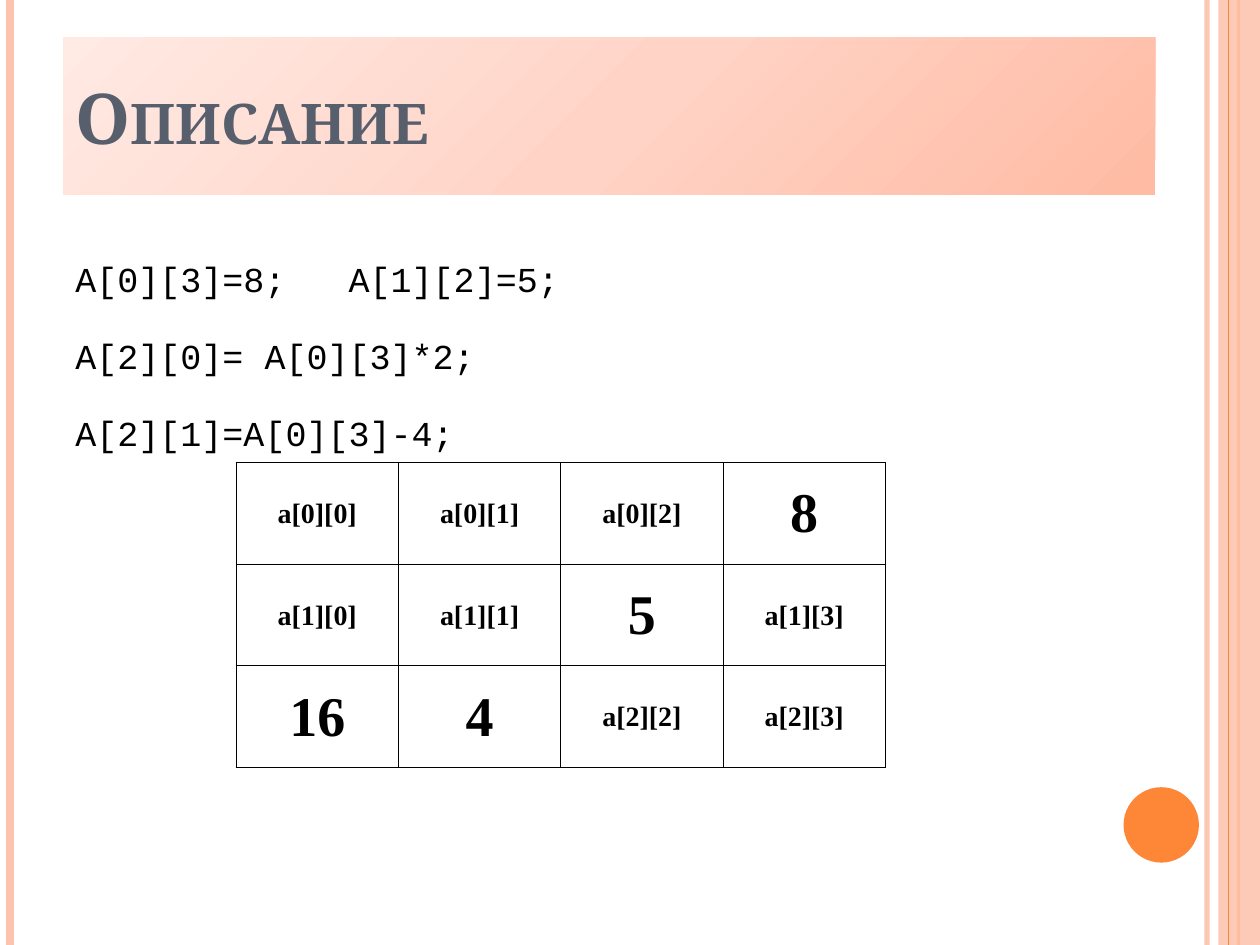
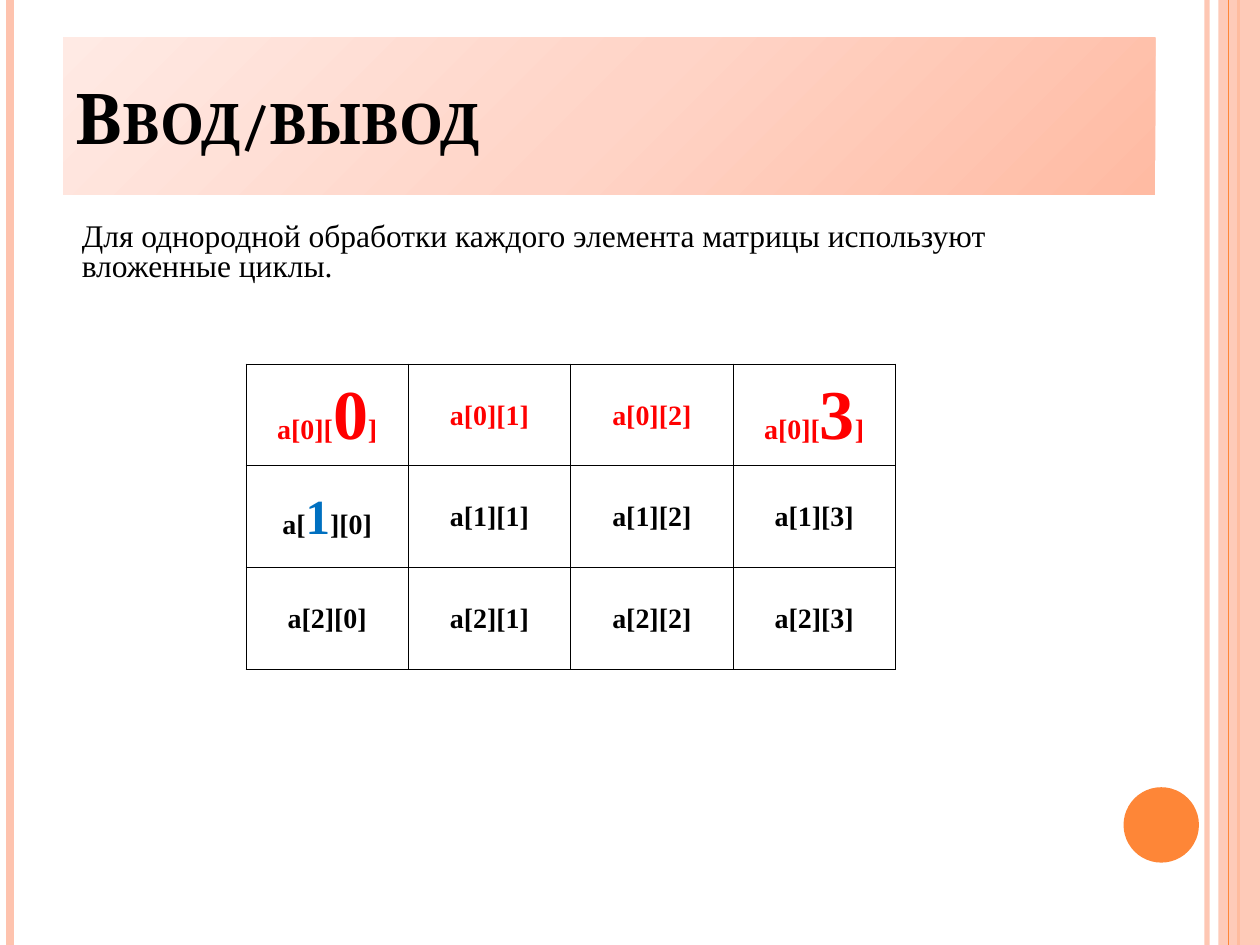
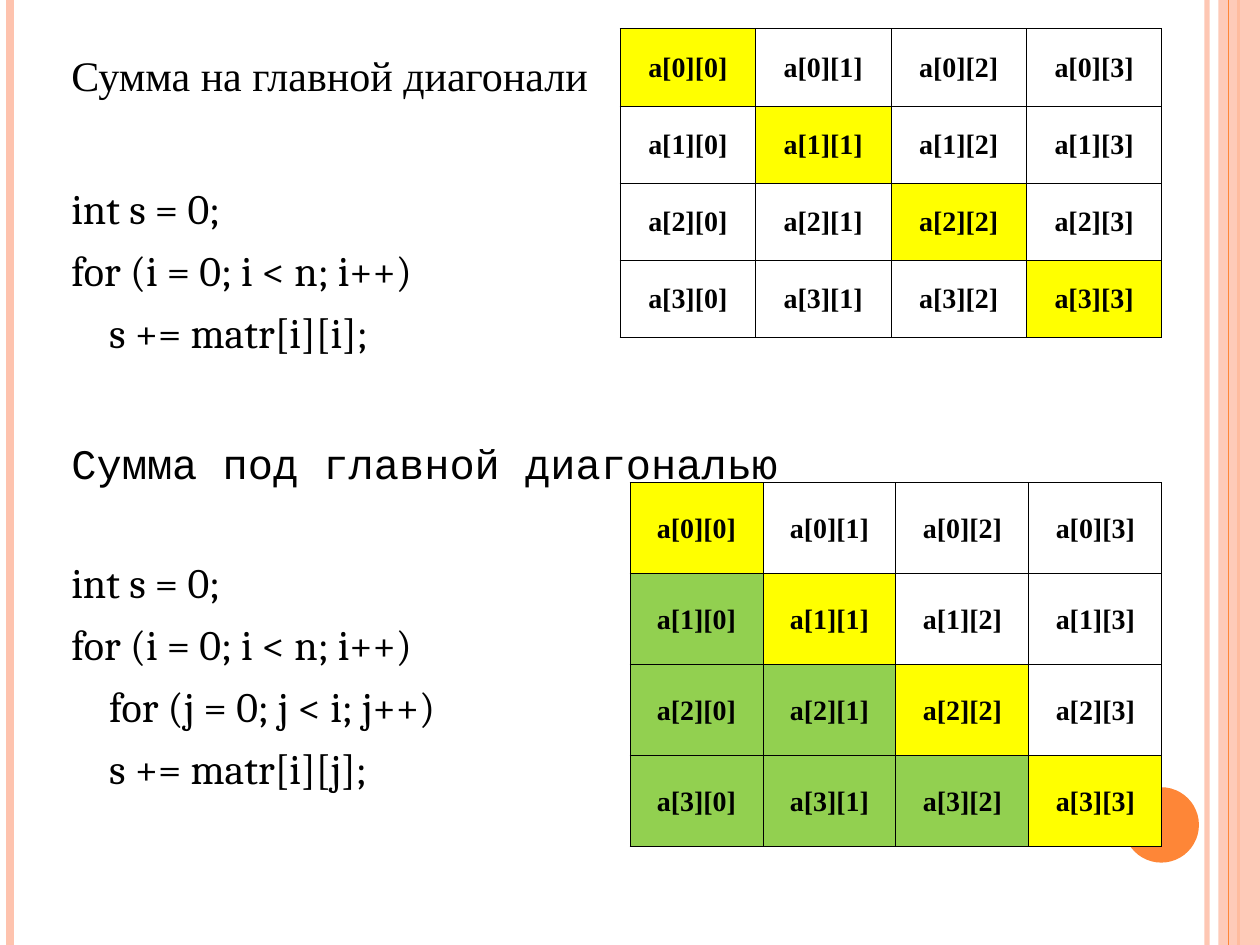
from dataclasses import dataclass, field

from lxml.etree import SubElement
from pptx import Presentation
from pptx.dml.color import RGBColor
from pptx.enum.shapes import MSO_CONNECTOR, MSO_SHAPE
from pptx.enum.text import MSO_ANCHOR, MSO_AUTO_SIZE, PP_ALIGN
from pptx.oxml.ns import qn
from pptx.slide import Slide
from pptx.util import Cm, Pt

# Shared look
HEX = {
    "black": "000000", "slate": "575F6D", "red": "FF0000", "blue": "0070C0",
    "peach": "FEC3AE", "orange": "FE8637", "yellow": "FFFF00", "green": "92D050",
}
SHADES = {0: "FFBBA3", 50: "FFD4C7", 100: "FFEAE4"}
SERIF, MONO, CODE = "Times New Roman", "Courier New", "Cambria"
WIDE, HIGH = 25.4, 19.05


@dataclass
class Rail:
    x: float
    width: float
    tint: str = "peach"
    alpha: int = 100


@dataclass
class Bit:
    text: str
    size: float = 16
    tint: str = "black"


@dataclass
class Row:
    text: str
    font: str
    size: float
    before: float = 0
    indent: float = 0
    pitch: float = 1.0


@dataclass
class Grid:
    left: float
    top: float
    width: float
    height: float
    rows: int
    cols: int = 4
    labels: dict[tuple[int, int], list[Bit]] = field(default_factory=dict)
    fills: dict[tuple[int, int], str] = field(default_factory=dict)


BACK = [Rail(24.33, 3, alpha=93), Rail(0.21, 4.5), Rail(24.97, 1.5, "orange")]
FRONT = Rail(24.76, 0.75, "orange")


def color(name: str) -> RGBColor:
    return RGBColor.from_string(HEX[name])


def style(font, name: str, size: float, tint: str, bold: bool = False) -> None:
    font.name, font.size, font.bold = name, Pt(size), bold
    font.color.rgb = color(tint)


def fade(shape, alpha: int) -> None:
    for node in shape._element.spPr.iter(qn("a:srgbClr")):
        SubElement(node, qn("a:alpha"), val=str(alpha * 1000))


# Side rails, band and disc
def draw_rail(slide: Slide, rail: Rail) -> None:
    line = slide.shapes.add_connector(
        MSO_CONNECTOR.STRAIGHT, Cm(rail.x), Cm(0), Cm(rail.x), Cm(HIGH))
    line.line.color.rgb = color(rail.tint)
    line.line.width = Pt(rail.width)
    if rail.alpha < 100:
        fade(line, rail.alpha)
    SubElement(line._element.spPr, qn("a:effectLst"))


def draw_shape(slide: Slide, kind: MSO_SHAPE, box: tuple, tint: str):
    shape = slide.shapes.add_shape(kind, *map(Cm, box))
    shape.shadow.inherit = False
    shape.fill.solid()
    shape.fill.fore_color.rgb = color(tint)
    shape.line.fill.background()
    return shape


def draw_frame(slide: Slide) -> None:
    for rail in BACK:
        draw_rail(slide, rail)
    band = draw_shape(slide, MSO_SHAPE.RECTANGLE, (24.56, 0, 0.84, HIGH), "peach")
    fade(band, 87)
    draw_rail(slide, FRONT)
    draw_shape(slide, MSO_SHAPE.OVAL, (22.65, 15.87, 1.52, 1.52), "orange")


# Title with its shaded field
def set_title(slide: Slide, text: str, tint: str) -> None:
    title = slide.shapes.title
    title.left, title.top, title.width, title.height = map(Cm, (1.27, 0.76, 22.02, 3.17))
    shade = SubElement(title._element.spPr, qn("a:gradFill"), rotWithShape="1")
    stops = SubElement(shade, qn("a:gsLst"))
    for place, tone in SHADES.items():
        stop = SubElement(stops, qn("a:gs"), pos=str(place * 1000))
        SubElement(stop, qn("a:srgbClr"), val=tone)
    SubElement(shade, qn("a:lin"), ang=str(225 * 60000), scaled="0")
    frame = title.text_frame
    frame.text = text
    frame.auto_size = MSO_AUTO_SIZE.NONE
    frame.vertical_anchor = MSO_ANCHOR.MIDDLE
    para = frame.paragraphs[0]
    para.alignment = PP_ALIGN.LEFT
    run = para.runs[0]
    style(run.font, CODE, 40, tint, True)
    run._r.get_or_add_rPr().set("cap", "small")


# Running text
def add_text(slide: Slide, box: tuple, rows: list[Row]) -> None:
    frame = slide.shapes.add_textbox(*map(Cm, box)).text_frame
    frame.word_wrap = True
    frame.text = "\n".join(row.text for row in rows)
    for para, row in zip(frame.paragraphs, rows):
        para.space_before = Pt(row.before)
        para.line_spacing = row.pitch
        para._p.get_or_add_pPr().set("marL", str(Cm(row.indent)))
        style(para.runs[0].font, row.font, row.size, "black")


# Matrix tables
def add_edges(cell) -> None:
    props = cell._tc.get_or_add_tcPr()
    for side in ("lnL", "lnR", "lnT", "lnB"):
        edge = SubElement(props, qn(f"a:{side}"), w=str(Pt(0.5)))
        fill = SubElement(edge, qn("a:solidFill"))
        SubElement(fill, qn("a:srgbClr"), val=HEX["black"])


def add_grid(slide: Slide, grid: Grid) -> None:
    box = map(Cm, (grid.left, grid.top, grid.width, grid.height))
    table = slide.shapes.add_table(grid.rows, grid.cols, *box).table
    table.first_row = table.horz_banding = False
    for r in range(grid.rows):
        for c in range(grid.cols):
            cell = table.cell(r, c)
            add_edges(cell)
            if (r, c) in grid.fills:
                cell.fill.solid()
                cell.fill.fore_color.rgb = color(grid.fills[r, c])
            else:
                cell.fill.background()
            cell.margin_left = cell.margin_right = cell.margin_top = Cm(0.03)
            cell.margin_bottom = 0
            cell.vertical_anchor = MSO_ANCHOR.MIDDLE
            para = cell.text_frame.paragraphs[0]
            para.alignment = PP_ALIGN.CENTER
            for bit in grid.labels.get((r, c), [Bit(f"a[{r}][{c}]")]):
                run = para.add_run()
                run.text = bit.text
                style(run.font, SERIF, bit.size, bit.tint, True)


# Slides
def add_slide(deck, title: str = "", tint: str = "black") -> Slide:
    slide = deck.slides.add_slide(deck.slide_layouts[5 if title else 6])
    draw_frame(slide)
    if title:
        set_title(slide, title, tint)
    return slide


def show_values(deck) -> None:
    slide = add_slide(deck, "Описание", "slate")
    lines = ["A[0][3]=8;   A[1][2]=5;", "A[2][0]= A[0][3]*2;", "A[2][1]=A[0][3]-4;"]
    add_text(slide, (1.27, 4.65, 22.15, 4.6),
             [Row(line, MONO, 20, 8 if i else 0, pitch=1.5) for i, line in enumerate(lines)])
    values = {(0, 3): "8", (1, 2): "5", (2, 0): "16", (2, 1): "4"}
    labels = {spot: [Bit(value, 32)] for spot, value in values.items()}
    add_grid(slide, Grid(4.76, 9.32, 13.09, 6.15, 3, labels=labels))


def show_loops(deck) -> None:
    slide = add_slide(deck, "Ввод/вывод")
    labels = {(0, c): [Bit(f"a[0][{c}]", tint="red")] for c in (1, 2)}
    for c in (0, 3):
        labels[0, c] = [Bit("a[0][", tint="red"), Bit(str(c), 40, "red"),
                        Bit("]", tint="red")]
    labels[1, 0] = [Bit("a["), Bit("1", 28, "blue"), Bit("][0]")]
    add_grid(slide, Grid(4.96, 7.34, 13.09, 6.15, 3, labels=labels))
    note = "Для однородной обработки каждого элемента матрицы используют вложенные циклы."
    add_text(slide, (1.4, 4.37, 21.82, 1.5), [Row(note, SERIF, 18, pitch=0.8)])


def show_sums(deck) -> None:
    slide = add_slide(deck)
    gap, step = 6.7, 0.76
    loop = Row("for (i = 0; i < n; i++)", CODE, 24, gap)
    add_text(slide, (1.19, 0.88, 22.15, 15.2), [
        Row("Сумма на главной диагонали", SERIF, 24),
        Row("int s = 0;", CODE, 24, 47),
        loop,
        Row("s += matr[i][i];", CODE, 24, gap, step),
        Row("Сумма под главной диагональю", MONO, 24, 46),
        Row("int s = 0;", CODE, 24, 39),
        loop,
        Row("for (j = 0; j < i; j++)", CODE, 24, gap, step),
        Row("s += matr[i][j];", CODE, 24, gap, step),
    ])
    main_fills = {(i, i): "yellow" for i in range(4)}
    low_fills = {(r, c): "green" for r in range(4) for c in range(r)}
    add_grid(slide, Grid(12.5, 0.58, 10.92, 6.22, 4, fills=main_fills))
    add_grid(slide, Grid(12.7, 9.73, 10.72, 7.34, 4, fills=main_fills | low_fills))


def main() -> None:
    deck = Presentation()
    deck.slide_width, deck.slide_height = Cm(WIDE), Cm(HIGH)
    show_values(deck)
    show_loops(deck)
    show_sums(deck)
    deck.save("out.pptx")


if __name__ == "__main__":
    main()
